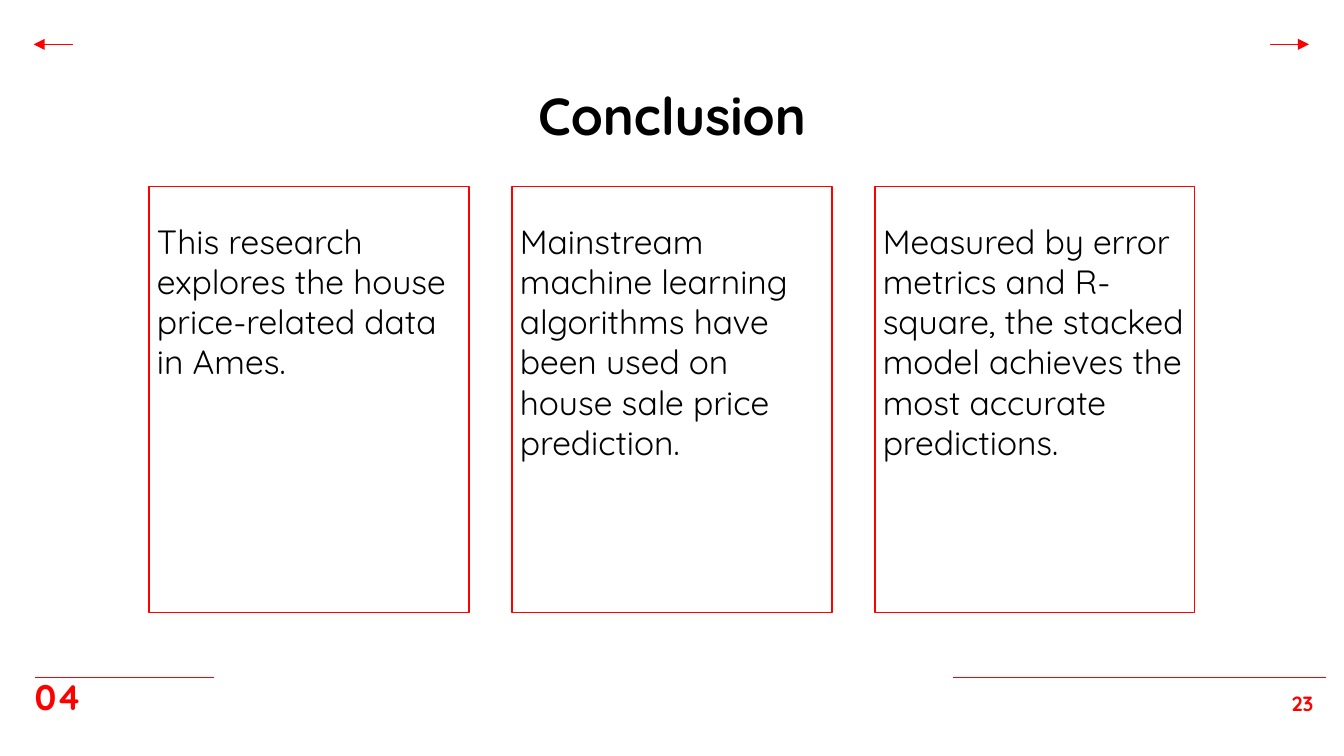
from lxml import etree
from pptx import Presentation
from pptx.dml.color import RGBColor
from pptx.enum.shapes import MSO_CONNECTOR, MSO_SHAPE
from pptx.enum.text import MSO_ANCHOR, PP_ALIGN
from pptx.oxml.ns import qn
from pptx.util import Inches, Pt

LEFT, CENTER, RIGHT = PP_ALIGN.LEFT, PP_ALIGN.CENTER, PP_ALIGN.RIGHT
TOP, BOTTOM = MSO_ANCHOR.TOP, MSO_ANCHOR.BOTTOM
STRAIGHT, RECT = MSO_CONNECTOR.STRAIGHT, MSO_SHAPE.RECTANGLE

RED = RGBColor(0xFD, 0x00, 0x00)
BLACK = RGBColor(0x00, 0x00, 0x00)
FONT = "Quicksand"
LINE_WIDTH = Pt(0.75)

CONCLUSIONS = [
    "This research explores the house price-related data in Ames.",
    "Mainstream machine learning algorithms have been used on house sale price prediction.",
    "Measured by error metrics and R-square, the stacked model achieves the most "
    "accurate predictions.",
]


def add_text(s, box, text, size, color, bold=False, align=LEFT, anchor=TOP, inset=0.1):
    tf = s.shapes.add_textbox(*[Inches(v) for v in box]).text_frame
    tf.word_wrap = True
    tf.vertical_anchor = anchor
    tf.margin_left = tf.margin_right = Inches(0.1)
    tf.margin_top = tf.margin_bottom = Inches(inset)
    p = tf.paragraphs[0]
    p.alignment = align
    r = p.add_run()
    r.text = text
    r.font.name, r.font.size, r.font.bold = FONT, Pt(size), bold
    r.font.color.rgb = color


def add_line(s, x1, x2, y, arrow=False):
    line = s.shapes.add_connector(STRAIGHT, Inches(x1), Inches(y), Inches(x2), Inches(y))
    line.line.color.rgb = RED
    line.line.width = LINE_WIDTH
    if arrow:
        etree.SubElement(line.line._get_or_add_ln(), qn("a:tailEnd"), type="triangle")
    etree.SubElement(line._element.spPr, qn("a:effectLst"))


def add_header(s, left, top, width):
    """Title between two outward arrows."""
    arrow = 0.29
    right = left + width
    add_line(s, left + arrow, left, top, arrow=True)
    add_line(s, right - arrow, right, top, arrow=True)
    add_text(s, (left + 1.36, top + 0.19, width - 2.71, 0.63), "Conclusion",
             28, BLACK, bold=True, align=CENTER)


def add_cards(s, left, top, width, height, gap=0.32):
    """Equal outlined cards, each with one statement."""
    n = len(CONCLUSIONS)
    card_w = (width - gap * (n - 1)) / n
    for i, text in enumerate(CONCLUSIONS):
        x = left + i * (card_w + gap)
        card = s.shapes.add_shape(RECT, Inches(x), Inches(top),
                                  Inches(card_w), Inches(height))
        card.shadow.inherit = False
        card.fill.background()
        card.line.color.rgb = RED
        card.line.width = LINE_WIDTH
        add_text(s, (x - 0.04, top + 0.15, card_w + 0.08, height - 0.25),
                 text, 18, BLACK)


def add_footer(s, left, top, width):
    """Rules above the section number and the page number."""
    right = left + width
    add_line(s, left + 1.33, left, top)
    add_line(s, right - 2.78, right, top)
    add_text(s, (left - 0.1, top + 0.12, 1.85, 0.18), "04", 19, RED,
             bold=True, anchor=BOTTOM, inset=0)
    add_text(s, (right - 0.64, top + 0.01, 0.64, 0.43), "23", 11, RED,
             bold=True, align=RIGHT)


def main():
    prs = Presentation()
    # Widescreen 16:9
    prs.slide_width = Inches(10)
    prs.slide_height = prs.slide_width * 9 // 16
    s = prs.slides.add_slide(prs.slide_layouts[6])
    add_header(s, 0.25, 0.33, 9.49)
    add_cards(s, 1.11, 1.39, 7.78, 3.17)
    add_footer(s, 0.26, 5.04, 9.61)
    prs.save("out.pptx")


if __name__ == "__main__":
    main()
